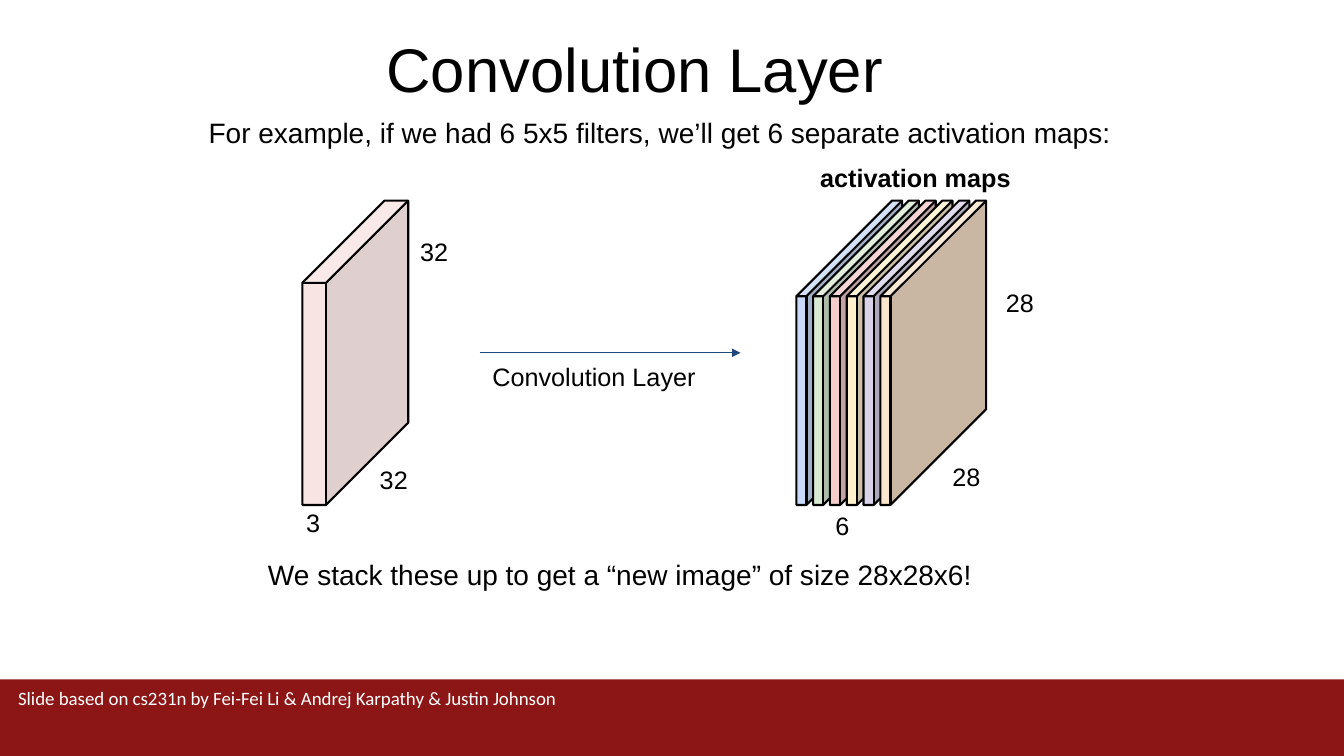
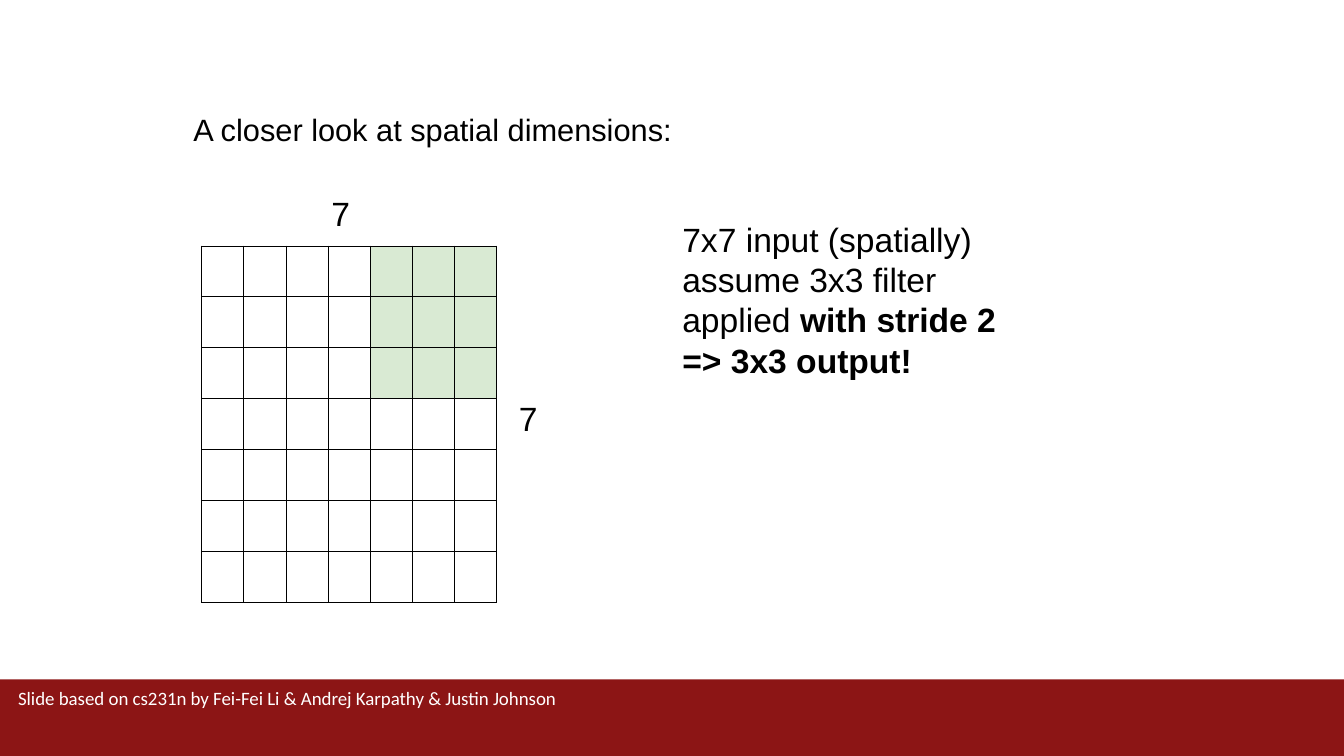
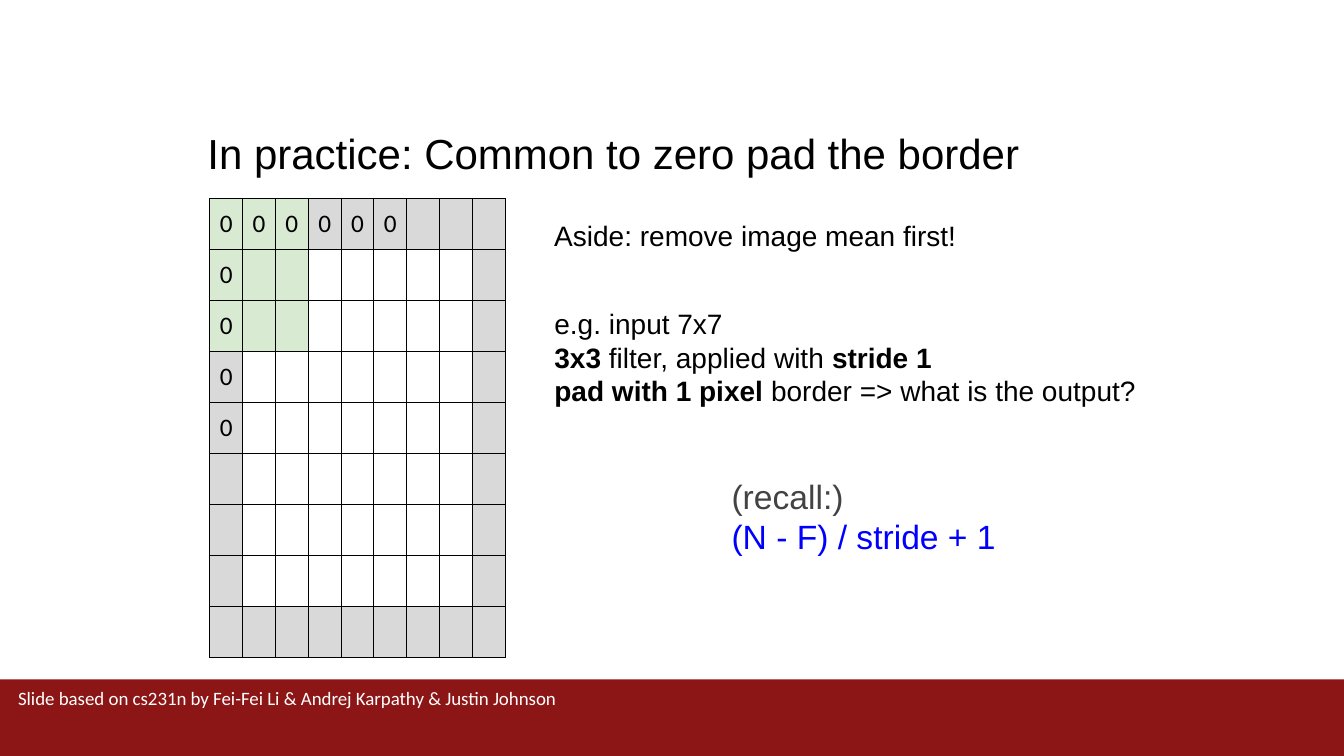
from itertools import cycle

from lxml.etree import SubElement
from pptx import Presentation
from pptx.dml.color import RGBColor
from pptx.enum.shapes import MSO_CONNECTOR, MSO_SHAPE
from pptx.enum.text import MSO_ANCHOR, MSO_AUTO_SIZE, PP_ALIGN
from pptx.oxml.ns import qn
from pptx.util import Pt

BLACK, WHITE = "000000", "FFFFFF"
RED, NAVY, BLUE, SLATE = "8C1515", "1F497D", "0000FF", "434343"
PINK, GREEN, GREY = "F4CCCC", "D9EAD3", "D9D9D9"
MAPS = ("C9DAF8", GREEN, PINK, "FFF2CC", "D9D2E9", "FCE5CD")
CREDIT = "Slide based on cs231n by Fei-Fei Li & Andrej Karpathy & Justin Johnson"


def tint(code):
    """Turn a hex string into a colour."""
    return RGBColor.from_string(code)


def points(box):
    """Turn a row of numbers into point lengths."""
    return [Pt(part) for part in box]


def write(frame, *lines, size=18, font="Arial", hues=(BLACK,)):
    """Write one paragraph a line, with bold between asterisks."""
    for row, (line, hue) in enumerate(zip(lines, cycle(hues))):
        para = frame.add_paragraph() if row else frame.paragraphs[0]
        para.alignment = PP_ALIGN.LEFT
        para.space_before = Pt(0)
        for turn, part in enumerate(line.split("*")):
            if part:
                run = para.add_run()
                run.text = part
                run.font.size = Pt(size)
                run.font.name = font
                run.font.bold = turn % 2 == 1
                run.font.color.rgb = tint(hue)


def place(shape, box, pad=7.2, anchor=MSO_ANCHOR.TOP):
    """Move a text shape to its box and return its frame."""
    shape.left, shape.top, shape.width, shape.height = points(box)
    frame = shape.text_frame
    frame.word_wrap = True
    frame.auto_size = MSO_AUTO_SIZE.NONE
    frame.vertical_anchor = anchor
    frame.margin_left = frame.margin_right = Pt(pad)
    frame.margin_top = frame.margin_bottom = Pt(pad)
    return frame


def label(slide, box, *lines, pad=7.2, anchor=MSO_ANCHOR.TOP, **style):
    """Add a text box with formatted lines."""
    shape = slide.shapes.add_textbox(*points(box))
    write(place(shape, box, pad, anchor), *lines, **style)
    return shape


def brand(deck, slide):
    """Set the shared list style and move the footer band to the master."""
    master = deck.slide_master
    level = master.element.xpath("p:txStyles/p:bodyStyle/a:lvl1pPr")[0]
    level.set("marL", "0")
    level.set("indent", "0")
    level.find(qn("a:buChar")).tag = qn("a:buNone")
    level.find(qn("a:buNone")).attrib.clear()

    band = slide.shapes.add_shape(MSO_SHAPE.RECTANGLE, *points((0, 485.3, 960, 55)))
    band.shadow.inherit = False
    band.fill.solid()
    band.fill.fore_color.rgb = tint(RED)
    band.line.fill.background()
    note = label(slide, (7.9, 485.3, 940, 54.7), CREDIT, pad=5,
                 size=13.5, font="Calibri", hues=(WHITE,))
    for code, part in enumerate((band, note), 90):
        part.element.xpath(".//p:cNvPr")[0].set("id", str(code))
        master.shapes.element.append(part.element)


def block(slide, box, hues, slant, labels, alpha=100, step=12):
    """Draw a row of cubes, with labels offset from the first one."""
    left, top, width, height = box
    for place_no, hue in enumerate(hues):
        spot = points((left + place_no * step, top, width, height))
        cube = slide.shapes.add_shape(MSO_SHAPE.CUBE, *spot)
        cube.adjustments[0] = slant
        cube.shadow.inherit = False
        cube.fill.solid()
        cube.fill.fore_color.rgb = tint(hue)
        cube.line.color.rgb = tint(BLACK)
        cube.line.width = Pt(1.5)
        if alpha < 100:
            shade = cube.element.spPr.find(qn("a:solidFill"))[0]
            SubElement(shade, qn("a:alpha"), val=str(alpha * 1000))
    for text, right, down, wide in labels:
        label(slide, (left + right, top + down, wide, 36), text)


def arrow(slide, start, end, text):
    """Draw an arrow with its label below."""
    line = slide.shapes.add_connector(MSO_CONNECTOR.STRAIGHT, *points(start + end))
    line.line.color.rgb = tint(NAVY)
    line.line.width = Pt(0.75)
    props = line.element.spPr
    SubElement(props.find(qn("a:ln")), qn("a:tailEnd"), type="triangle")
    SubElement(props, qn("a:effectLst"))
    label(slide, (start[0] + 2, start[1] - 1, 258, 64), text)


def edge(cell):
    """Give a cell thin black borders."""
    props = cell._tc.get_or_add_tcPr()
    for side in ("lnL", "lnR", "lnT", "lnB"):
        line = SubElement(props, qn(f"a:{side}"), w=str(Pt(0.75)))
        fill = SubElement(line, qn("a:solidFill"))
        SubElement(fill, qn("a:srgbClr"), val=BLACK)


def grid(slide, box, count, shade, mark=None):
    """Draw a square table, coloured and marked by row and column."""
    table = slide.shapes.add_table(count, count, *points(box)).table
    table.first_row = table.horz_banding = False
    for row in range(count):
        table.rows[row].height = Pt(box[3] / count)
        table.columns[row].width = Pt(box[2] / count)
        for col in range(count):
            cell = table.cell(row, col)
            cell.margin_left = cell.margin_right = Pt(7.2)
            cell.margin_top = cell.margin_bottom = Pt(7.2)
            edge(cell)
            cell.fill.solid()
            cell.fill.fore_color.rgb = tint(shade(row, col))
            if mark and mark(row, col):
                write(cell.text_frame, "0", font="Calibri")


def layer(slide):
    """Show how six filters give six maps."""
    write(place(slide.shapes.title, (276, 22, 408, 54), pad=0),
          "Convolution Layer", size=44)
    write(place(slide.placeholders[1], (141.8, 75, 687, 30)),
          "For example, if we had 6 5x5 filters, we’ll get 6 separate activation maps:",
          size=20)
    block(slide, (216, 143.3, 75.6, 217.4), (PINK,), 0.777,
          (("32", 48.2, 181.4, 39), ("32", 77, 18, 39), ("3", -4.3, 211.7, 39)),
          alpha=52)
    arrow(slide, (342.7, 252), (529, 252), "Convolution Layer")
    block(slide, (568.8, 143.3, 75.6, 217.4), MAPS, 0.904,
          (("28", 104.4, 179.3, 39), ("28", 142.6, 54.7, 39),
           ("6", 20.9, 213.8, 39), ("*activation maps*", 10, -34.6, 163)))
    label(slide, (184.3, 391, 679, 30),
          "We stack these up to get a “new image” of size 28x28x6!", size=20)


def stride(slide):
    """Show a filter on a grid of seven by seven."""
    left, top = 144, 175.7
    write(place(slide.shapes.title, (131, 72, 660, 48)),
          "A closer look at spatial dimensions:", size=22)
    write(place(slide.placeholders[1], (480.2, 149, 403, 145)),
          "7x7 input (spatially)", "assume 3x3 filter",
          "applied *with stride 2*", "*=> 3x3 output!*", size=24)
    grid(slide, (left, top, 211, 254.2), 7,
         lambda row, col: GREEN if row < 3 and col > 3 else WHITE)
    for right, down in ((85.7, -45.4), (219.6, 101.5)):
        label(slide, (left + right, top + down, 44, 36), "7", size=24)


def border(slide):
    """Show a grid padded with zeros."""
    def shade(row, col):
        """Choose green for the filter and grey for the rim."""
        if row < 3 and col < 3:
            return GREEN
        return GREY if {row, col} & {0, 8} else WHITE

    def mark(row, col):
        """Tell which cells hold a zero."""
        return (row == 0 and col < 6) or (col == 0 and row < 5)

    write(place(slide.shapes.title, (141, 84.2, 652, 58)),
          "In practice: Common to zero pad the border", size=30)
    write(place(slide.placeholders[1], (388.8, 211.7, 460, 116.6)),
          "e.g. input 7x7", "*3x3* filter, applied with *stride 1*",
          "*pad with 1 pixel* border => what is the output?", size=20)
    grid(slide, (149.8, 141.8, 211, 326.9), 9, shade, mark)
    label(slide, (515.5, 320.4, 227.5, 96.5), "(recall:)", "(N - F) / stride + 1",
          anchor=MSO_ANCHOR.MIDDLE, size=24, hues=(SLATE, BLUE))
    label(slide, (388.8, 149, 460, 60), "Aside: remove image mean first!", size=20)


def main():
    """Build and save the deck."""
    deck = Presentation()
    deck.slide_width, deck.slide_height = points((960, 540))
    slides = [deck.slides.add_slide(deck.slide_layouts[1]) for _ in range(3)]
    brand(deck, slides[0])
    for build, slide in zip((layer, stride, border), slides):
        build(slide)
    deck.save("out.pptx")


if __name__ == "__main__":
    main()
